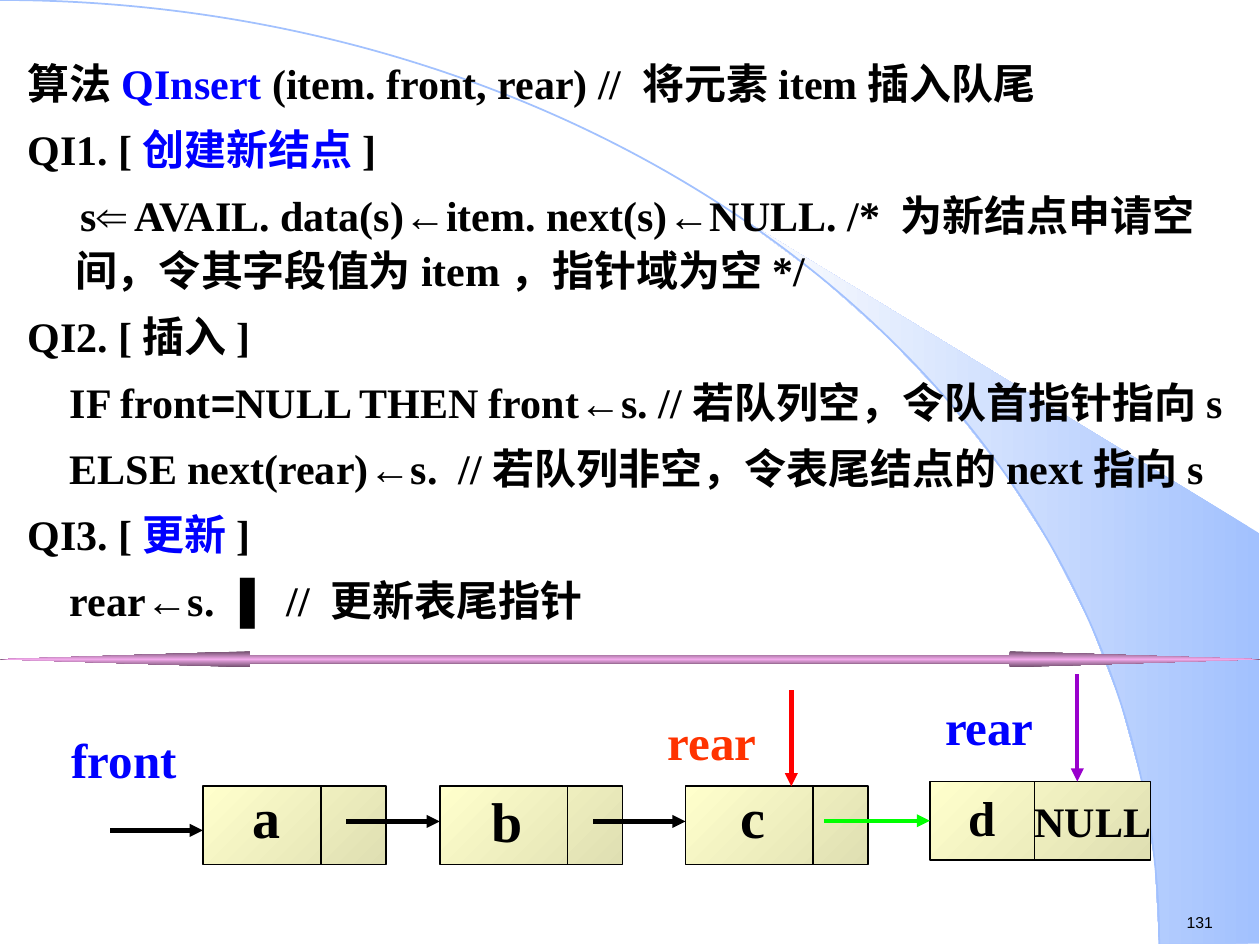
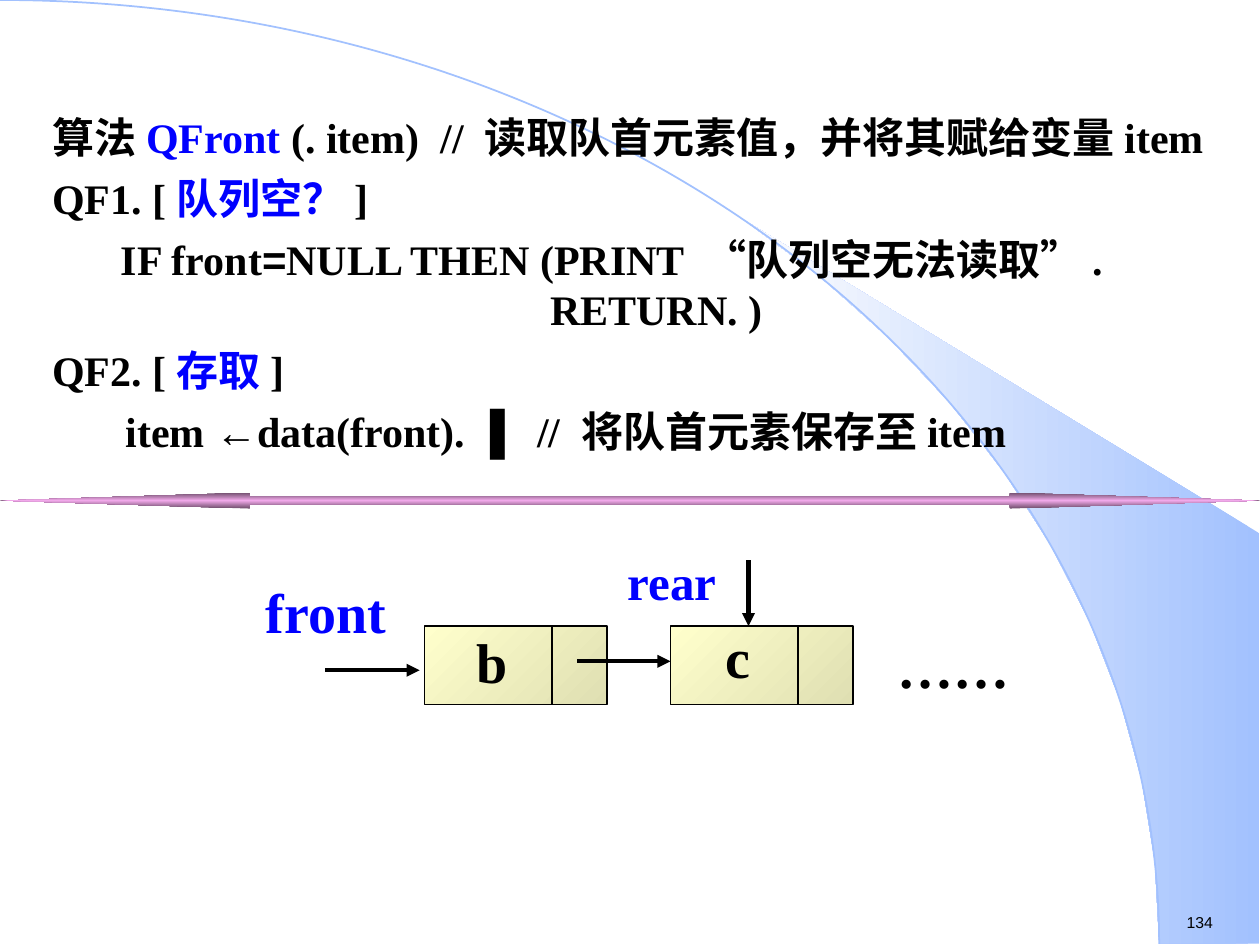
import itertools
import math
import typing

import pptx
import pptx.dml.color
import pptx.enum.shapes
import pptx.enum.text
import pptx.oxml
import pptx.oxml.ns
import pptx.util

Pt = pptx.util.Pt
Color = pptx.dml.color.RGBColor
Shape = pptx.enum.shapes.MSO_SHAPE
Align = pptx.enum.text.PP_ALIGN
qn = pptx.oxml.ns.qn

BLACK = Color(0x00, 0x00, 0x00)
BLUE = Color(0x00, 0x00, 0xFF)
RED = Color(0xFF, 0x00, 0x00)
ORANGE = Color(0xFF, 0x33, 0x00)
GREEN = Color(0x00, 0xFF, 0x00)
PURPLE = Color(0x99, 0x00, 0xCC)
SKY = Color(0xA2, 0xC1, 0xFE)
PALE = Color(0xFE, 0xFE, 0xFE)
CREAM = Color(0xFF, 0xFF, 0xCC)
KHAKI = Color(0xDF, 0xDF, 0xB2)
PINK = Color(0xF1, 0xA9, 0xEA)
PLUM = Color(0x6F, 0x4D, 0x6B)

SERIF = "Times New Roman"
SANS = "Arial"
SIGNS = "⇐←="
DRAWING = 'xmlns:a="http://schemas.openxmlformats.org/drawingml/2006/main"'
WIDE, HIGH = 720, 540
ARC_X, ARC_Y = 662.4, 539.28
NODE_HIGH = 44.8


class Line(typing.NamedTuple):
    text: str
    first: float = 0
    margin: float = 0
    gap: float = 6


class Node(typing.NamedTuple):
    name: str
    left: float
    top: float
    cut: float = 73
    rise: float = 5.8
    wide: float = 104.4
    size: float = 32
    shift: float = 2.2


class Arrow(typing.NamedTuple):
    x1: float
    y1: float
    x2: float
    y2: float
    color: Color = BLACK
    node: int | None = None


class Label(typing.NamedTuple):
    text: str
    left: float
    top: float
    wide: float
    size: float = 28
    color: Color = BLUE
    pad: bool = False


class Page(typing.NamedTuple):
    number: str
    frame: tuple[float, float, float, float]
    spacing: float
    lines: list[Line]
    band: float
    nodes: list[Node]
    chain: int
    arrows: list[Arrow]
    labels: list[Label]


PAGES = [
    Page(
        "131", (8.64, 26.5, 700.6, 348.5), 1.1,
        [
            Line("算法|QInsert |(item. front, rear) // 将元素item插入队尾", gap=0),
            Line("QI1. [|创建新结点|]"),
            Line("s⇐ AVAIL. data(s)←item. next(s)←NULL. /* 为新结点申请空间，"
                 "令其字段值为item，指针域为空*/", 3, 27),
            Line("QI2. [插入]"),
            Line("IF front=NULL THEN front←s. //若队列空，令队首指针指向s", 24),
            Line("ELSE next(rear)←s.  //若队列非空，令表尾结点的next指向s", 24),
            Line("QI3. [|更新|]"),
            Line("rear←s. ▐| |// 更新表尾指针", 24),
        ],
        372.2,
        [
            Node("a", 116, 449.3, 67.6),
            Node("b", 251.3, 449.3, rise=3.6),
            Node("c", 391.7, 449.3),
            Node("d", 531.4, 446.6, 59.8, 0, 126, 28, 0),
        ],
        3,
        [
            Arrow(64.1, 474.5, 115.9, 474.5),
            Arrow(472.3, 469, 531.4, 469, GREEN, 3),
            Arrow(615.6, 386.6, 615.6, 446.6, PURPLE),
            Arrow(452.2, 395.3, 452.2, 449.3, RED),
        ],
        [
            Label("front", 33.8, 413.3, 84, pad=True),
            Label("NULL", 591.1, 454.3, 72, 24, BLACK),
            Label("rear", 540, 398.2, 60),
            Label("rear", 381.6, 406.8, 60, color=ORANGE),
        ],
    ),
    Page(
        "134", (22.6, 60, 686.2, 212.4), 1.0,
        [
            Line("算法|QFront| (. item)  // 读取队首元素值，并将其赋给变量item", gap=0),
            Line("QF1. [|队列空？|]"),
            Line("IF front=NULL THEN (PRINT “队列空无法读取”.", 39.3),
            Line("RETURN. )", 284.5, gap=0),
            Line("QF2. [|存取|]"),
            Line("item ←data(front). ▐| |// 将队首元素保存至item", 42),
        ],
        281.5,
        [
            Node("b", 242.6, 357.8, rise=2.9),
            Node("c", 383.2, 357.8),
        ],
        2,
        [
            Arrow(427.7, 321.1, 427.7, 357.8),
            Arrow(187.2, 383, 239.8, 383),
        ],
        [
            Label("……", 505.6, 357.8, 120, 32, BLACK, True),
            Label("front", 144.7, 326.2, 84, 32, pad=True),
            Label("rear", 358.6, 315.4, 57),
        ],
    ),
]


def blend(fill, start: Color, end: Color, angle: float) -> None:
    fill.gradient()
    fill.gradient_angle = angle
    for stop, color in zip(fill.gradient_stops, (start, end)):
        stop.color.rgb = color


def draw_wedge(slide):
    turns = [math.radians(turn) for turn in range(0, 51, 5)]
    points = [(ARC_X * math.cos(turn), ARC_Y * (1 - math.sin(turn))) for turn in turns]
    points += [(719.3, 304.6), (719.3, ARC_Y)]
    spots = [(Pt(x), Pt(y)) for x, y in points]
    maker = slide.shapes.build_freeform(*spots[0])
    maker.add_line_segments(spots[1:], close=True)
    wedge = maker.convert_to_shape()
    blend(wedge.fill, SKY, PALE, 180)
    wedge.line.fill.background()
    return wedge


def draw_rim(slide):
    rim = slide.shapes.add_shape(
        Shape.ARC, Pt(-ARC_X), 0, Pt(2 * ARC_X), Pt(2 * ARC_Y))
    rim.fill.background()
    rim.line.color.rgb = SKY
    rim.line.width = Pt(1)
    return rim


def draw_master(deck, slide) -> None:
    tree = deck.slide_master.shapes.element
    for order, shape in enumerate((draw_wedge(slide), draw_rim(slide))):
        shape.shadow.inherit = False
        shape.element.nvSpPr.cNvPr.set("id", str(100 + order))
        tree.insert(2 + order, shape.element)


def style(font, size: float, color: Color, name: str = SERIF, bold: bool = True) -> None:
    font.name = name
    font.size = Pt(size)
    font.bold = bold
    font.color.rgb = color


def write_line(para, line: Line, spacing: float) -> None:
    props = para._p.get_or_add_pPr()
    props.set("marL", str(Pt(line.margin)))
    props.set("indent", str(Pt(line.first)))
    props.append(pptx.oxml.parse_xml(f"<a:buNone {DRAWING}/>"))
    para.space_before = Pt(line.gap)
    para.line_spacing = spacing
    for order, part in enumerate(line.text.split("|")):
        for sign, chars in itertools.groupby(part, lambda char: char in SIGNS):
            run = para.add_run()
            run.text = "".join(chars)
            style(run.font, 24, BLUE if order % 2 else BLACK, SANS if sign else SERIF)
            if part == " ":
                run.font._element.set("spc", "1200")


def draw_body(slide, page: Page) -> None:
    title = slide.shapes.title.element
    title.getparent().remove(title)
    body = slide.placeholders[1]
    body.left, body.top, body.width, body.height = map(Pt, page.frame)
    frame = body.text_frame
    frame.auto_size = pptx.enum.text.MSO_AUTO_SIZE.NONE
    for order, line in enumerate(page.lines):
        para = frame.add_paragraph() if order else frame.paragraphs[0]
        write_line(para, line, page.spacing)


def draw_label(slide, label: Label):
    box = slide.shapes.add_textbox(
        Pt(label.left), Pt(label.top), Pt(label.wide), Pt(label.size * 1.4))
    frame = box.text_frame
    frame.word_wrap = True
    if not label.pad:
        frame.margin_left = frame.margin_right = 0
        frame.margin_top = frame.margin_bottom = 0
    frame.text = label.text
    style(frame.paragraphs[0].runs[0].font, label.size, label.color)
    return frame


def draw_number(slide, number: str) -> None:
    frame = draw_label(slide, Label(number, 671, 517.9, 55.4, 9, BLACK, True))
    frame.word_wrap = False
    style(frame.paragraphs[0].runs[0].font, 9, BLACK, SANS, False)


def draw_band(slide, top: float) -> None:
    band = slide.shapes.add_shape(
        Shape.LEFT_RIGHT_ARROW, 0, Pt(top), Pt(WIDE), Pt(9.1))
    band.shadow.inherit = False
    band.adjustments[0] = 0.5
    band.adjustments[1] = 15.7
    blend(band.fill, PINK, PLUM, 180)
    band.line.fill.background()
    slope = band.element.spPr.find(qn("a:gradFill")).find(qn("a:lin"))
    slope.getparent().replace(slope, pptx.oxml.parse_xml(
        f'<a:path {DRAWING} path="rect">'
        '<a:fillToRect l="50000" t="50000" r="50000" b="50000"/></a:path>'))


def draw_stroke(slide, arrow: Arrow, width: float, head: bool):
    stroke = slide.shapes.add_connector(
        pptx.enum.shapes.MSO_CONNECTOR.STRAIGHT,
        Pt(arrow.x1), Pt(arrow.y1), Pt(arrow.x2), Pt(arrow.y2))
    stroke.line.color.rgb = arrow.color
    stroke.line.width = Pt(width)
    if head:
        edge = stroke.line._get_or_add_ln()
        edge.set("cap", "sq")
        edge.append(pptx.oxml.parse_xml(f'<a:tailEnd {DRAWING} type="triangle"/>'))
    stroke.element.spPr.append(pptx.oxml.parse_xml(f"<a:effectLst {DRAWING}/>"))
    return stroke


def draw_node(slide, node: Node):
    box = slide.shapes.add_shape(
        Shape.RECTANGLE, Pt(node.left), Pt(node.top), Pt(node.wide), Pt(NODE_HIGH))
    box.shadow.inherit = False
    blend(box.fill, KHAKI, CREAM, 135)
    box.line.color.rgb = BLACK
    box.line.width = Pt(1)
    cut = node.left + node.cut
    draw_stroke(slide, Arrow(cut, node.top, cut, node.top + NODE_HIGH), 1, False)
    middle = node.left + node.cut / 2 + node.shift
    frame = draw_label(slide, Label(
        node.name, middle - 34, node.top - node.rise, 68, node.size, BLACK, True))
    frame.paragraphs[0].alignment = Align.CENTER
    return box


def draw_queue(slide, page: Page) -> None:
    boxes = [draw_node(slide, node) for node in page.nodes]
    chain = page.nodes[:page.chain]
    links = [
        Arrow(one.left + one.cut + 15.6, one.top + 20.1, two.left, one.top + 20.1)
        for one, two in zip(chain, chain[1:])
    ]
    for arrow in links + page.arrows:
        stroke = draw_stroke(slide, arrow, 2.5, True)
        if arrow.node is not None:
            stroke.end_connect(boxes[arrow.node], 1)
    for label in page.labels:
        draw_label(slide, label)


def main() -> None:
    deck = pptx.Presentation()
    deck.slide_width, deck.slide_height = Pt(WIDE), Pt(HIGH)
    for order, page in enumerate(PAGES):
        slide = deck.slides.add_slide(deck.slide_layouts[1])
        if order == 0:
            draw_master(deck, slide)
        draw_body(slide, page)
        draw_number(slide, page.number)
        draw_band(slide, page.band)
        draw_queue(slide, page)
    deck.save("out.pptx")


if __name__ == "__main__":
    main()
